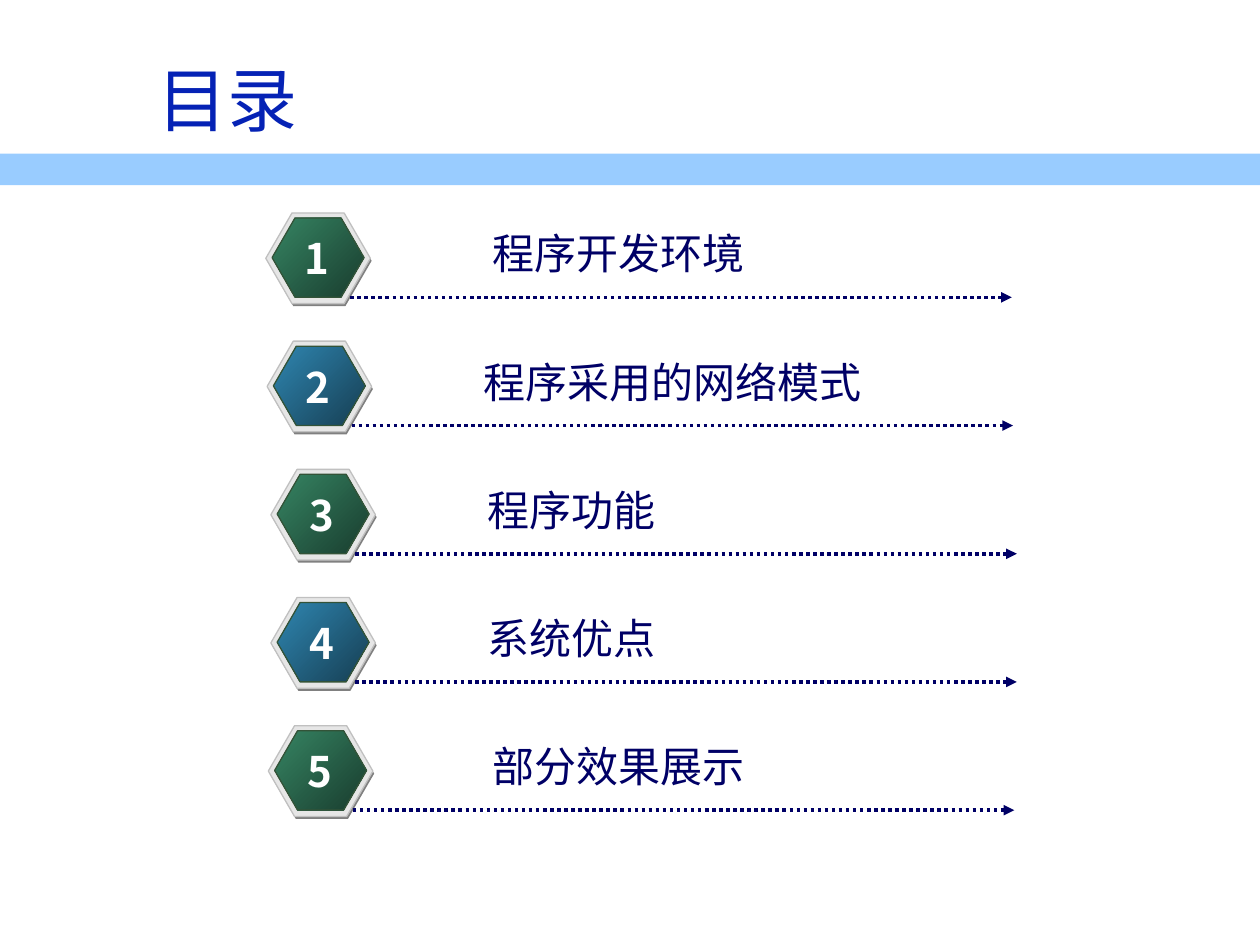
import lxml.etree
import pptx
import pptx.dml.color
import pptx.enum.dml
import pptx.enum.shapes
import pptx.enum.text
import pptx.oxml.ns
import pptx.util

RGBColor = pptx.dml.color.RGBColor
Inches = pptx.util.Inches
Pt = pptx.util.Pt
qn = pptx.oxml.ns.qn
Align = pptx.enum.text.PP_ALIGN

FONT = "Noto Sans CJK KR"
BAND = RGBColor(0x99, 0xCC, 0xFF)
TITLE = RGBColor(0x05, 0x22, 0xB5)
NAVY = RGBColor(0x00, 0x00, 0x66)
WHITE = RGBColor(0xFF, 0xFF, 0xFF)
SHADE = RGBColor(0x80, 0x80, 0x80)
RIM = RGBColor(0xE6, 0xE6, 0xE6)
RIM_EDGE = RGBColor(0xC0, 0xC0, 0xC0)
FACE_EDGE = RGBColor(0x33, 0x53, 0x38)
GREEN = [RGBColor(0x36, 0x84, 0x63), RGBColor(0x19, 0x3D, 0x2E)]
BLUE = [RGBColor(0x2F, 0x86, 0xB1), RGBColor(0x16, 0x3E, 0x52)]

FIRST_TOP, LAST_TOP = 1.69, 5.76
ENTRIES = [
    ("程序开发环境", 2.11, 3.81, 2.2),
    ("程序采用的网络模式", 2.12, 3.74, 3.2),
    ("程序功能", 2.15, 3.77, 1.53),
    ("系统优点", 2.15, 3.77, 1.53),
    ("部分效果展示", 2.13, 3.81, 2.2),
]


class ContentsSlide:
    """Draws the parts of a contents slide in one shared style."""

    def __init__(self, slide):
        self.slide = slide

    def shape(self, shapes, kind, box, fill, edge=None):
        shape = shapes.add_shape(kind, *map(Inches, box))
        shape.shadow.inherit = False
        if isinstance(fill, list):
            shape.fill.gradient()
            shape.fill.gradient_angle = 315
            for stop, color in zip(shape.fill.gradient_stops, fill):
                stop.color.rgb = color
        else:
            shape.fill.solid()
            shape.fill.fore_color.rgb = fill
        if edge is None:
            shape.line.fill.background()
        else:
            shape.line.color.rgb = edge
            shape.line.width = Pt(0.75)
        return shape

    def band(self, box):
        self.shape(self.slide.shapes, pptx.enum.shapes.MSO_SHAPE.RECTANGLE, box, BAND)

    def hexagon(self, shapes, box, fill, edge=None):
        hexagon = self.shape(shapes, pptx.enum.shapes.MSO_SHAPE.HEXAGON, box, fill, edge)
        hexagon.adjustments[0] = 0.289

    def text(self, shapes, box, words, size, color, bold=False, align=Align.LEFT, wrap=False):
        frame = shapes.add_textbox(*map(Inches, box)).text_frame
        frame.word_wrap = wrap
        if wrap:
            frame.vertical_anchor = pptx.enum.text.MSO_ANCHOR.MIDDLE
        else:
            frame.auto_size = pptx.enum.text.MSO_AUTO_SIZE.SHAPE_TO_FIT_TEXT
        paragraph = frame.paragraphs[0]
        paragraph.alignment = align
        run = paragraph.add_run()
        run.text = words
        run.font.size = Pt(size)
        run.font.bold = bold
        run.font.color.rgb = color
        run.font.name = FONT
        lxml.etree.SubElement(run.font._element, qn("a:ea"), typeface=FONT)

    def arrow(self, shapes, left, top, length):
        arrow = shapes.add_connector(
            pptx.enum.shapes.MSO_CONNECTOR.STRAIGHT,
            Inches(left), Inches(top), Inches(left + length), Inches(top))
        arrow.line.color.rgb = NAVY
        arrow.line.width = Pt(2)
        arrow.line.dash_style = pptx.enum.dml.MSO_LINE.ROUND_DOT
        lxml.etree.SubElement(arrow.line._get_or_add_ln(), qn("a:tailEnd"), type="triangle")
        lxml.etree.SubElement(arrow._element.spPr, qn("a:effectLst"))

    def entry(self, number, words, left, top, words_left, words_width):
        shapes = self.slide.shapes.add_group_shape().shapes
        face = GREEN if number % 2 else BLUE
        self.hexagon(shapes, (left + 0.01, top + 0.02, 0.83, 0.72), SHADE)
        self.hexagon(shapes, (left, top, 0.83, 0.72), RIM, RIM_EDGE)
        self.hexagon(shapes, (left + 0.05, top + 0.04, 0.73, 0.63), face, FACE_EDGE)
        self.arrow(shapes, left + 0.67, top + 0.67, 5.25)
        self.text(shapes, (words_left, top + 0.07, words_width, 0.5), words, 24, NAVY)
        self.text(shapes, (left + 0.21, top + 0.11, 0.39, 0.5), str(number), 24, WHITE,
                  bold=True, align=Align.CENTER)


def main():
    deck = pptx.Presentation()
    deck.slide_width, deck.slide_height = Inches(10), Inches(7.5)
    contents = ContentsSlide(deck.slides.add_slide(deck.slide_layouts[6]))
    contents.band((0, 1.22, 10.01, 0.25))
    contents.text(contents.slide.shapes, (1.15, 0.47, 7.92, 0.62), "目录", 40, TITLE, wrap=True)
    pitch = (LAST_TOP - FIRST_TOP) / (len(ENTRIES) - 1)
    for index, (words, left, words_left, words_width) in enumerate(ENTRIES):
        contents.entry(index + 1, words, left, FIRST_TOP + index * pitch, words_left, words_width)
    deck.save("out.pptx")


if __name__ == "__main__":
    main()
